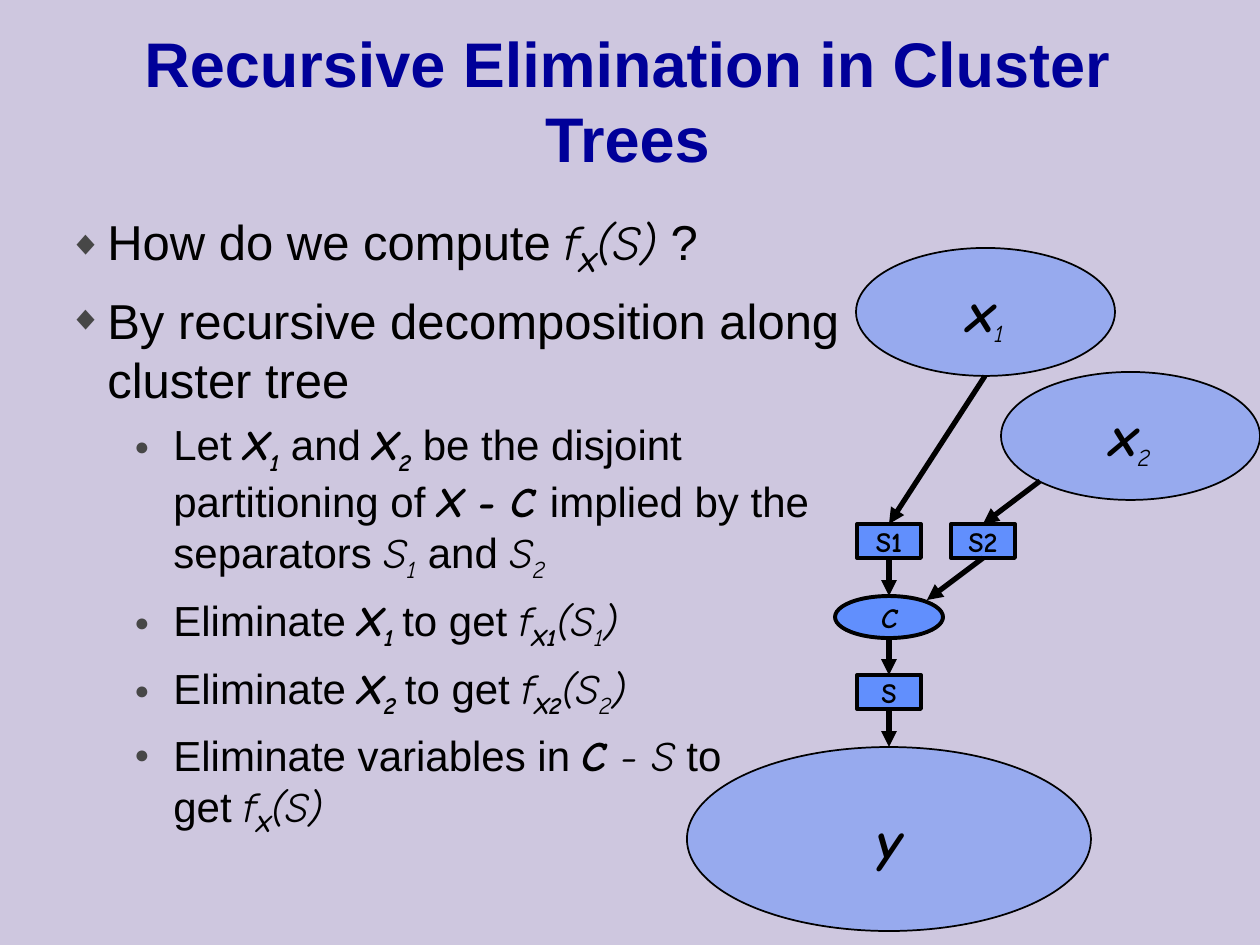
"""Build the slide on recursive elimination in cluster trees."""
import pptx
import pptx.dml.color
import pptx.enum.shapes
import pptx.enum.text
import pptx.oxml.ns
import pptx.util
from lxml import etree

EMU_PER_PX = 914400 / 126
COLORS = {
    "page": "CEC7DF",
    "title": "000099",
    "ink": "000000",
    "bullet": "474747",
    "node": "618FFD",
}
TEXT_FONT, MATH_FONT = "Arial", "Comic Neue"
STYLES = {
    "text": {},
    "math": {"font": MATH_FONT, "italic": True},
    "set": {"font": MATH_FONT, "italic": True, "bold": True},
    "sub": {"font": MATH_FONT, "italic": True, "sub": True},
    "setsub": {"font": MATH_FONT, "italic": True, "bold": True, "sub": True},
    "label": {"font": MATH_FONT, "bold": True},
}
LEVELS = [
    {"size": 28, "margin": 39, "before": 7, "mark": "◆", "scale": 70},
    {"size": 24, "margin": 105, "before": 6, "mark": "●", "scale": 60},
]
INDENT = 39
BULLETS = [
    (0, [("How do we compute ", "text"), ("f", "math"), ("X", "setsub"),
         ("(S)", "math"), (" ?", "text")]),
    (0, [("By recursive decomposition along\ncluster tree", "text")]),
    (1, [("Let ", "text"), ("X", "set"), ("1", "setsub"), (" and ", "text"),
         ("X", "set"), ("2", "setsub"),
         (" be the disjoint \npartitioning of ", "text"), ("X - C ", "set"),
         ("implied by the\nseparators ", "text"), ("S", "math"), ("1", "sub"),
         (" and ", "text"), ("S", "math"), ("2", "sub")]),
    *[(1, [("Eliminate ", "text"), ("X", "set"), (f"{n} ", "setsub"),
           ("to get ", "text"), ("f", "math"), (f"X{n}", "setsub"),
           ("(S", "math"), (n, "sub"), (")", "math")]) for n in "12"],
    (1, [("Eliminate variables in ", "text"), ("C", "set"), (" - S", "math"),
         (" to\nget ", "text"), ("f", "math"), ("X", "setsub"),
         ("(S)", "math")]),
]


def px(length):
    """Turn pixels into EMU."""
    return pptx.util.Emu(round(length * EMU_PER_PX))


def rgb(name):
    """Look up a named colour."""
    return pptx.dml.color.RGBColor.from_string(COLORS[name])


def add_xml(parent, tag, **attributes):
    """Append a DrawingML element."""
    return etree.SubElement(parent, pptx.oxml.ns.qn(tag), attributes)


def add_text(para, text, size, font=TEXT_FONT, color="ink", bold=False,
             italic=False, sub=False):
    """Append formatted text, with line breaks at newlines."""
    for number, line in enumerate(text.split("\n")):
        if number:
            para.add_line_break()
        span = para.add_run()
        span.text = line
        span.font.size = pptx.util.Pt(size)
        span.font.name = font
        span.font.bold = bold
        span.font.italic = italic
        span.font.color.rgb = rgb(color)
        if sub:
            span._r.get_or_add_rPr().set("baseline", "-25000")


def add_title(page, text):
    """Place and fill the title."""
    title = page.shapes.title
    title.left, title.top, title.width, title.height = map(px, (48, 21, 1159, 158))
    frame = title.text_frame
    frame.auto_size = pptx.enum.text.MSO_AUTO_SIZE.NONE
    frame.vertical_anchor = pptx.enum.text.MSO_ANCHOR.MIDDLE
    para = frame.paragraphs[0]
    para.alignment = pptx.enum.text.PP_ALIGN.CENTER
    add_text(para, text, 36, color="title", bold=True)


def add_bullets(page, items, left, top, width, height):
    """Add the bulleted text."""
    box = page.shapes.add_textbox(px(left), px(top), px(width), px(height))
    frame = box.text_frame
    frame.word_wrap = True
    for number, (depth, spans) in enumerate(items):
        level = LEVELS[depth]
        para = frame.add_paragraph() if number else frame.paragraphs[0]
        para.level = depth
        if number:
            para.space_before = pptx.util.Pt(level["before"])
        settings = para._p.get_or_add_pPr()
        settings.set("marL", str(px(level["margin"])))
        settings.set("indent", str(-px(INDENT)))
        tint = add_xml(settings, "a:buClr")
        add_xml(tint, "a:srgbClr", val=COLORS["bullet"])
        add_xml(settings, "a:buSzPct", val=str(level["scale"] * 1000))
        add_xml(settings, "a:buFont", typeface=TEXT_FONT)
        add_xml(settings, "a:buChar", char=level["mark"])
        for text, style in spans:
            add_text(para, text, level["size"], **STYLES[style])


def add_node(page, kind, left, top, width, height, spans, line=2.25, alpha=None):
    """Add a labelled node of the tree."""
    node = page.shapes.add_shape(kind, px(left), px(top), px(width), px(height))
    node.shadow.inherit = False
    node.fill.solid()
    node.fill.fore_color.rgb = rgb("node")
    if alpha:
        tint = node._element.spPr.find(".//" + pptx.oxml.ns.qn("a:srgbClr"))
        add_xml(tint, "a:alpha", val=str(alpha * 1000))
    node.line.color.rgb = rgb("ink")
    node.line.width = pptx.util.Pt(line)
    frame = node.text_frame
    frame.word_wrap = False
    frame.vertical_anchor = pptx.enum.text.MSO_ANCHOR.MIDDLE
    para = frame.paragraphs[0]
    para.alignment = pptx.enum.text.PP_ALIGN.CENTER
    for text, style, size in spans:
        add_text(para, text, size, **STYLES[style])
    return node


def add_arrow(page, start, end, source=None, target=None):
    """Add an arrow, joined to a source's bottom or a target's top."""
    arrow = page.shapes.add_connector(
        pptx.enum.shapes.MSO_CONNECTOR.STRAIGHT, *map(px, start + end))
    if source:
        arrow.begin_connect(source, 2)
    if target:
        arrow.end_connect(target, 0)
    arrow.line.color.rgb = rgb("ink")
    arrow.line.width = pptx.util.Pt(3)
    add_xml(arrow.line._get_or_add_ln(), "a:tailEnd", type="triangle")
    add_xml(arrow._element.spPr, "a:effectLst")


def add_tree(page):
    """Draw the cluster tree."""
    oval = pptx.enum.shapes.MSO_SHAPE.OVAL
    rectangle = pptx.enum.shapes.MSO_SHAPE.RECTANGLE
    cluster = add_node(page, oval, 835, 596, 108, 42, [("C", "set", 16)])
    separators = {
        name: add_node(page, rectangle, left, top, 64, 34, [(name, "label", 16)])
        for name, left, top in [("S", 857, 675), ("S2", 951, 524), ("S1", 857, 524)]
    }
    add_arrow(page, (983, 561), (927, 600), source=separators["S2"])
    add_arrow(page, (889, 558), (889, 596), separators["S1"], cluster)
    add_arrow(page, (889, 638), (889, 675), target=separators["S"])
    for number, left, top in [("1", 856, 248), ("2", 1001, 372)]:
        add_node(page, oval, left, top, 259, 128,
                 [("x", "set", 32), (number, "sub", 24)], line=1, alpha=50)
    rest = add_node(page, oval, 687, 747, 404, 184, [("y", "set", 32)],
                    line=1, alpha=50)
    add_arrow(page, (1040, 481), (983, 524), target=separators["S2"])
    add_arrow(page, (985, 376), (889, 524), target=separators["S1"])
    add_arrow(page, (889, 709), (889, 747), separators["S"], rest)


def main():
    """Build and save the deck."""
    deck = pptx.Presentation()
    deck.slide_width, deck.slide_height = px(1260), px(945)
    page = deck.slides.add_slide(deck.slide_layouts[5])
    page.background.fill.solid()
    page.background.fill.fore_color.rgb = rgb("page")
    add_title(page, "Recursive Elimination in Cluster Trees")
    add_bullets(page, BULLETS, 56, 205, 1151, 652)
    add_tree(page)
    deck.save("out.pptx")


if __name__ == "__main__":
    main()
